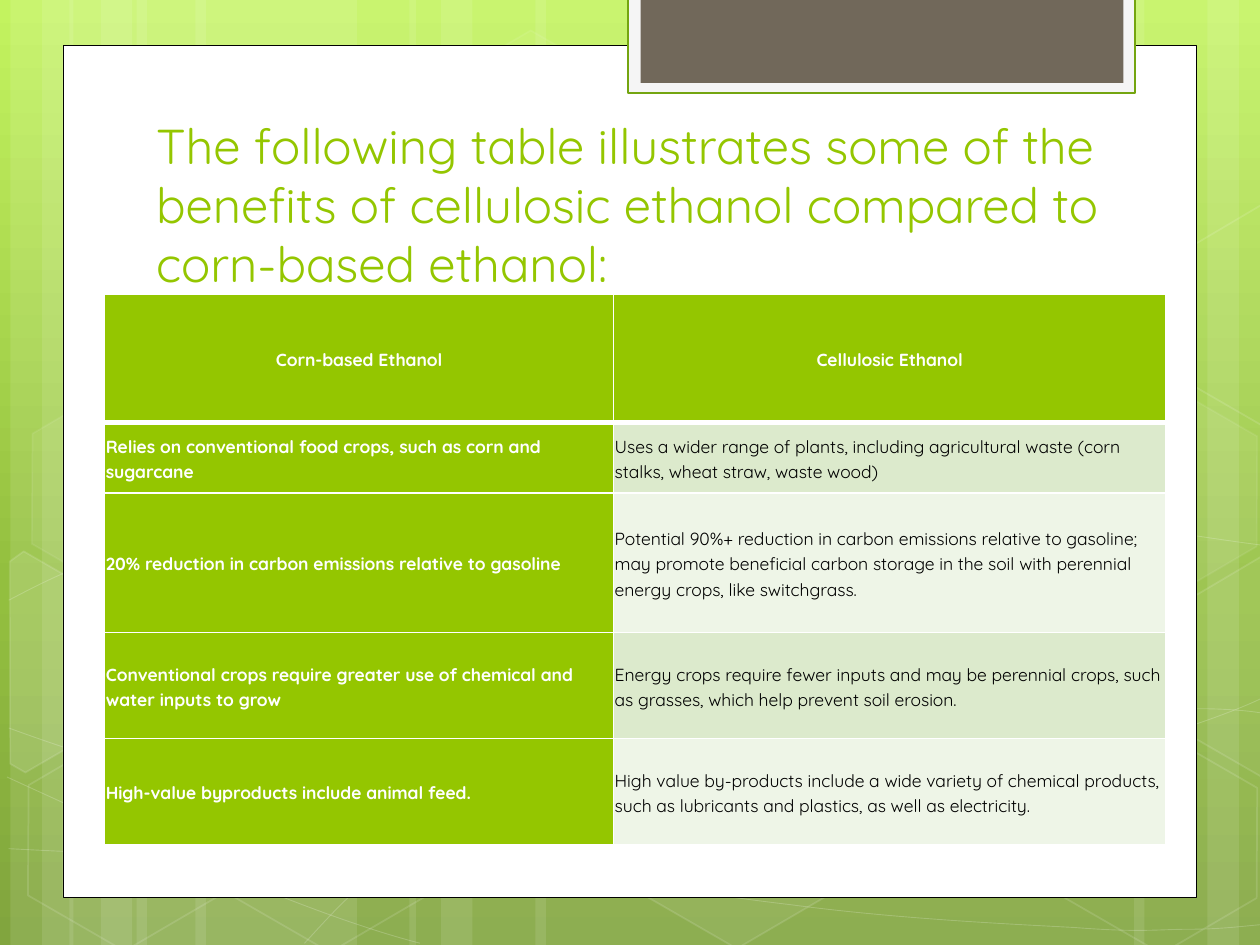
"""Build the slide comparing corn-based and cellulosic ethanol."""
from copy import deepcopy

from lxml.etree import SubElement
from pptx import Presentation
from pptx.dml.color import RGBColor
from pptx.enum.shapes import MSO_SHAPE as Shape
from pptx.enum.text import MSO_ANCHOR as Anchor, PP_ALIGN as Align
from pptx.oxml import parse_xml
from pptx.oxml.ns import nsdecls, qn
from pptx.util import Pt

FONT, GREEN, WHITE = "Quicksand", "94C600", "FFFFFF"


def paint(fill, color):
    fill.solid()
    fill.fore_color.rgb = RGBColor.from_string(color)


def dress(shape, fill=WHITE, fill_opacity=100, line=WHITE, line_opacity=0, width=1):
    shape.shadow.inherit = False
    shape.fill.background()
    shape.line.fill.background()
    if fill_opacity:
        paint(shape.fill, fill)
    if line_opacity:
        paint(shape.line.fill, line)
        shape.line.width = Pt(width)
    opacities = [value for value in (fill_opacity, line_opacity) if value]
    for color, opacity in zip(list(shape.element.spPr.iter(qn("a:srgbClr"))), opacities):
        if opacity < 100:
            SubElement(color, qn("a:alpha"), val=str(opacity * 1000))


prs = Presentation()
prs.slide_width, prs.slide_height = Pt(720), Pt(540)
slide = prs.slides.add_slide(prs.slide_layouts[5])
shapes = slide.shapes

backdrop = slide.background.fill
backdrop.gradient()
backdrop.gradient_angle = 270
stop_list = slide.element.find(".//" + qn("a:gsLst"))
stop_list.insert(1, deepcopy(stop_list[0]))
for stop, (position, color) in zip(
    backdrop.gradient_stops, [(0, "C3F35F"), (0.62, "93BF3F"), (1, "81A53E")]
):
    stop.position = position
    stop.color.rgb = RGBColor.from_string(color)

stripes = [
    (78, 126), (6, 36), (24, 60),
    (111.6, 126), (39.6, 36), (57.6, 60),
    (528, 126), (690, 36), (648, 60),
    (306, 222), (234, 36), (252, 60),
]
for left, width in stripes:
    stripe = shapes.add_shape(Shape.RECTANGLE, Pt(left), 0, Pt(width), Pt(540))
    dress(stripe, fill_opacity=10)

waves = [
    [(5, 484.6), (43.9, 486.7), (82.8, 488.9), (136.8, 488.2),
     (190.8, 487.4), (257.8, 486), (329.8, 478.8),
     (401.8, 471.6), (504, 457.9), (570.2, 444.2),
     (635.8, 430.6), (703.4, 409), (725, 396.7)],
    [(5, 343.4), (25.9, 331.9), (46.8, 321.1), (87.1, 310.3),
     (128.2, 299.5), (186.5, 283.7), (249.8, 278.6),
     (313.9, 273.6), (391.7, 272.9), (470.9, 278.6),
     (550.1, 284.4), (681.8, 306.7), (725, 312.5)],
    [(4.3, 444.2), (91.4, 483.8), (177.8, 523.4), (240.5, 539.3)],
    [(5, 416.2), (27.4, 424.1), (50.4, 432), (92.2, 443.5),
     (133.9, 454.3), (196.6, 472.3), (257, 484.6),
     (316.8, 496.8), (392.4, 509.8), (452.2, 517),
     (511.9, 524.9), (576, 527.8), (614.2, 529.9),
     (651.6, 532.8), (661.7, 531.4), (680.4, 531.4),
     (699.1, 530.6), (712.1, 529.2), (725, 528.5)],
    [(174.2, 539.3), (187.2, 524.9), (200.2, 510.5), (217.4, 497.5),
     (234.7, 484.6), (259.2, 470.2), (279.4, 460.1),
     (299.5, 450), (311.8, 445.7), (338.4, 438.5),
     (364.3, 431.3), (412.6, 421.2), (437.8, 416.2),
     (463.7, 411.1), (467.3, 411.1), (489.6, 409.7),
     (511.9, 407.5), (547.2, 405.4), (571.7, 404.6),
     (596.9, 403.9), (637.9, 404.6), (637.9, 404.6),
     (637.9, 404.6), (686.2, 404.6), (686.2, 404.6),
     (699.1, 405.4), (711.4, 406.1), (717.8, 406.8),
     (724.3, 407.5), (722.2, 406.8), (724.3, 407.5)],
]
for knots in waves:
    builder = shapes.build_freeform(*knots[0], scale=Pt(1))
    builder.add_line_segments(knots[1:], close=False)
    wave = builder.convert_to_shape()
    outline = wave.element.find(".//" + qn("a:path"))
    segments = outline.findall(qn("a:lnTo"))
    for start in range(0, len(segments), 3):
        bend = SubElement(outline, qn("a:cubicBezTo"))
        for segment in segments[start:start + 3]:
            bend.append(segment[0])
            outline.remove(segment)
    dress(wave, fill_opacity=0, line_opacity=20, width=0.5)

hexagons = [
    (240.5, 26, 4, 8), (357.8, 424.1, 6, 12), (7.9, 425.5, 0, 12), (10.1, 224.6, 7, 8),
    (125.3, 426.2, 0, 12), (542.2, 326.2, 10, 12), (600.5, 427, 0, 12), (600.5, 226.1, 7, 8),
]
for left, top, fill_opacity, line_opacity in hexagons:
    hexagon = shapes.add_shape(Shape.HEXAGON, Pt(left), Pt(top), Pt(126), Pt(109.4))
    hexagon.adjustments[0], hexagon.adjustments[1] = 0.285, 1.155
    hexagon.rotation = 30
    dress(hexagon, fill_opacity=fill_opacity, line_opacity=line_opacity)

left_cut = [(0, 8.6), (4.2, 0), (68, 0), (99.4, 55.3), (68, 109.4), (58.2, 109.4)]
right_cut = [(0, 54.7), (31, 0), (37.7, 0), (98, 104), (95, 109.4), (31.7, 109.4)]
cut_hexagons = [
    (left_cut, -23.8, 330.5, 10), (right_cut, 660.2, 319.7, 4), (right_cut, 660.2, 118.8, 0),
]
for corners, left, top, fill_opacity in cut_hexagons:
    builder = shapes.build_freeform(*corners[0], scale=Pt(1))
    builder.add_line_segments(corners[1:])
    cut_hexagon = builder.convert_to_shape(Pt(left), Pt(top))
    cut_hexagon.rotation = 30
    dress(cut_hexagon, fill_opacity=fill_opacity, line_opacity=12)

panels = [
    ((36, 26, 648, 487), WHITE, "000000", 100, 0.5),
    ((359, -1.4, 289.6, 54.7), "F5F5F5", "74A510", 100, 1.25),
    ((366, -1.4, 276, 48.8), "71685A", WHITE, 0, 1),
]
for bounds, fill, line, line_opacity, width in panels:
    panel = shapes.add_shape(Shape.RECTANGLE, *map(Pt, bounds))
    dress(panel, fill, 100, line, line_opacity, width)

title = shapes.title
shapes.element.append(title.element)
title.left, title.top, title.width, title.height = Pt(82), Pt(80.6), Pt(553), Pt(90)
title.text = ("The following table illustrates some of the benefits of cellulosic ethanol "
              "compared to corn-based ethanol:")
title.text_frame.word_wrap = True
title.text_frame.vertical_anchor = Anchor.BOTTOM
title.text_frame.margin_right = 0
heading = title.text_frame.paragraphs[0]
heading.alignment = Align.LEFT
heading.font.size, heading.font.name = Pt(28), FONT
paint(heading.font.fill, GREEN)

comparison = [
    ("Corn-based Ethanol", "Cellulosic Ethanol"),
    ("Relies on conventional food crops, such as corn and sugarcane",
     "Uses a wider range of plants, including agricultural waste (corn stalks, wheat straw, "
     "waste wood)"),
    ("20% reduction in carbon emissions relative to gasoline",
     "Potential 90%+ reduction in carbon emissions relative to gasoline; may promote beneficial "
     "carbon storage in the soil with perennial energy crops, like switchgrass."),
    ("Conventional crops require greater use of chemical and water inputs to grow",
     "Energy crops require fewer inputs and may be perennial crops, such as grasses, which help "
     "prevent soil erosion."),
    ("High-value byproducts include animal feed.",
     "High value by-products include a wide variety of chemical products, such as lubricants "
     "and plastics, as well as electricity."),
]
table = shapes.add_table(5, 2, Pt(59.8), Pt(168.2), Pt(606.4), Pt(314.4)).table
for column, width in zip(table.columns, (290.8, 315.6)):
    column.width = Pt(width)
for row, height in zip(table.rows, (73.2, 40.3, 79.9, 60.5, 60.5)):
    row.height = Pt(height)

for r, texts in enumerate(comparison):
    for c, text in enumerate(texts):
        cell = table.cell(r, c)
        cell.text = text
        cell.vertical_anchor = Anchor.MIDDLE
        cell.margin_left = cell.margin_right = cell.margin_top = cell.margin_bottom = Pt(0.7)
        strong = r == 0 or c == 0
        paint(cell.fill, GREEN if strong else ("EEF5E7", "DCEACC")[r % 2])
        entry = cell.text_frame.paragraphs[0]
        entry.alignment = Align.CENTER if r == 0 else Align.LEFT
        entry.line_spacing = 1.15
        entry.font.size, entry.font.name, entry.font.bold = Pt(10), FONT, strong
        paint(entry.font.fill, WHITE if strong else "000000")
        for i, side in enumerate("LRTB"):
            thick = (r, side) in ((0, "B"), (1, "T"))
            cell._tc.get_or_add_tcPr().insert(i, parse_xml(
                f'<a:ln{side} {nsdecls("a")} w="{Pt(3 if thick else 1)}"><a:solidFill>'
                f'<a:srgbClr val="{WHITE}"/></a:solidFill></a:ln{side}>'))

prs.save("out.pptx")
